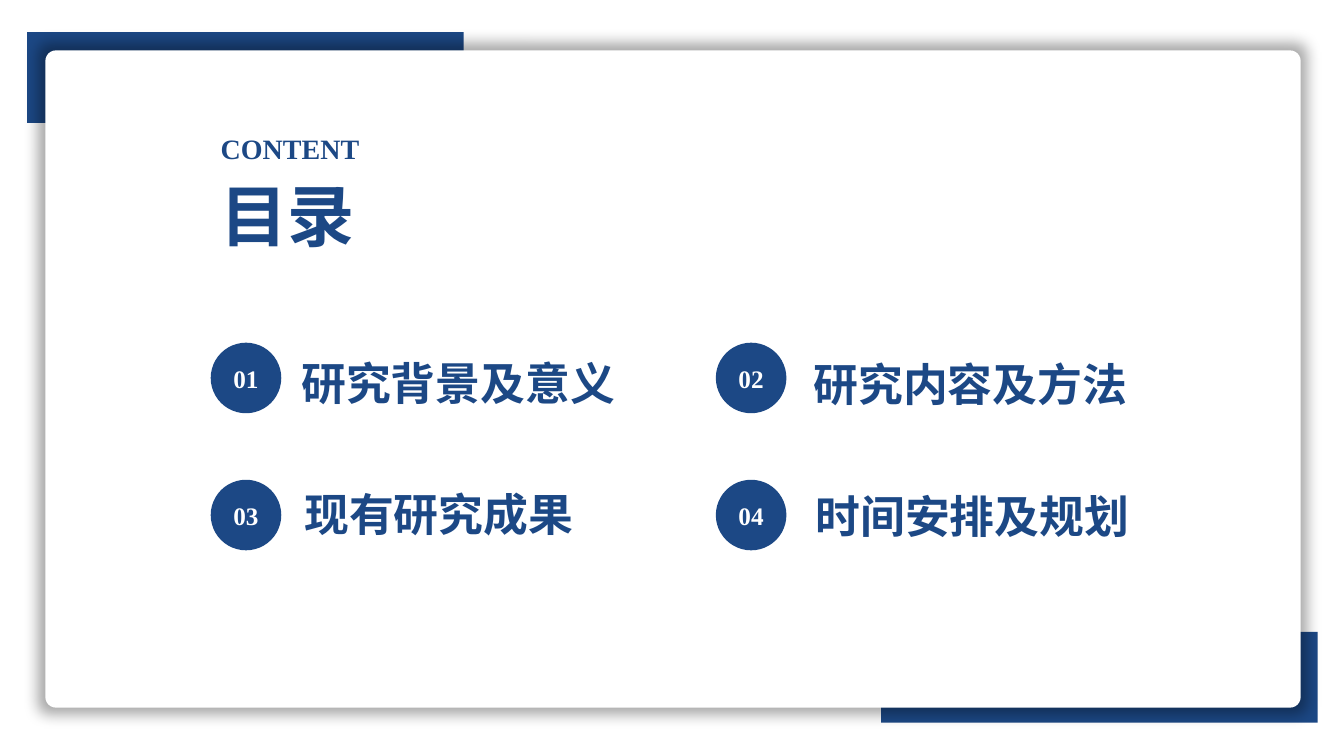
from lxml.etree import SubElement
from pptx import Presentation
from pptx.dml.color import RGBColor
from pptx.enum.shapes import MSO_SHAPE as SHAPE
from pptx.enum.text import MSO_ANCHOR as ANCHOR, MSO_AUTO_SIZE as AUTO, PP_ALIGN as ALIGN
from pptx.oxml.ns import qn
from pptx.util import Inches, Pt

NAVY = RGBColor(0x1C, 0x48, 0x85)
WHITE = RGBColor(0xFF, 0xFF, 0xFF)
BLACK = "000000"
FONT = "Times New Roman"

HEADINGS = [
    ("目录", 1.68, 0.91, 48),
    ("CONTENT", 1.26, 0.44, 20),
]
CHAPTERS = [
    ("研究背景及意义", 2.89, 3.48),
    ("研究内容及方法", 7.97, 3.49),
    ("现有研究成果", 2.92, 4.78),
    ("时间安排及规划", 7.99, 4.8),
]
CORNER_BARS = [(8.74, 6.27), (0.27, 0.32)]
LEFT, TOP = 2.09, 3.4
COLUMN_STEP, ROW_STEP = 5.01, 1.36
BADGE = 0.7

prs = Presentation()
prs.slide_width, prs.slide_height = Inches(13.33), Inches(7.5)
s = prs.slides.add_slide(prs.slide_layouts[6])


def add_text(tf, text, size, color=NAVY, align=ALIGN.JUSTIFY):
    tf.word_wrap = True
    p = tf.paragraphs[0]
    p.alignment = align
    r = p.add_run()
    r.text = text
    r.font.name = FONT
    r.font.size = Pt(size)
    r.font.bold = True
    r.font.color.rgb = color


def add_box(text, x, y, w, h, size):
    tf = s.shapes.add_textbox(*map(Inches, (x, y, w, h))).text_frame
    tf.auto_size = AUTO.SHAPE_TO_FIT_TEXT
    add_text(tf, text, size)


def add_filled(kind, x, y, w, h, color=NAVY):
    sp = s.shapes.add_shape(kind, *map(Inches, (x, y, w, h)))
    sp.shadow.inherit = False
    sp.fill.solid()
    sp.fill.fore_color.rgb = color
    sp.line.fill.background()
    return sp


def add_glow_shadow(sp):
    effects = sp._element.spPr.find(qn("a:effectLst"))
    shadow = SubElement(effects, qn("a:outerShdw"), blurRad=str(Inches(0.14)),
                        sx="101000", sy="102000", algn="ctr", rotWithShape="0")
    color = SubElement(shadow, qn("a:srgbClr"), val=BLACK)
    SubElement(color, qn("a:alpha"), val="35000")


for x, y in CORNER_BARS:
    add_filled(SHAPE.RECTANGLE, x, y, 4.33, 0.9)
card = add_filled(SHAPE.ROUNDED_RECTANGLE, 0.45, 0.5, 12.45, 6.52, WHITE)
card.adjustments[0] = 0.016
add_glow_shadow(card)

for text, y, h, size in HEADINGS:
    add_box(text, LEFT, y, 2.54, h, size)

for i, (title, x, y) in enumerate(CHAPTERS):
    row, column = divmod(i, 2)
    badge = add_filled(SHAPE.OVAL, LEFT + column * COLUMN_STEP,
                       TOP + row * ROW_STEP, BADGE, BADGE)
    badge.text_frame.vertical_anchor = ANCHOR.MIDDLE
    add_text(badge.text_frame, f"{i + 1:02d}", 18, color=WHITE, align=ALIGN.CENTER)
    add_box(title, x, y, 4.05, 0.64, 32)

prs.save("out.pptx")
